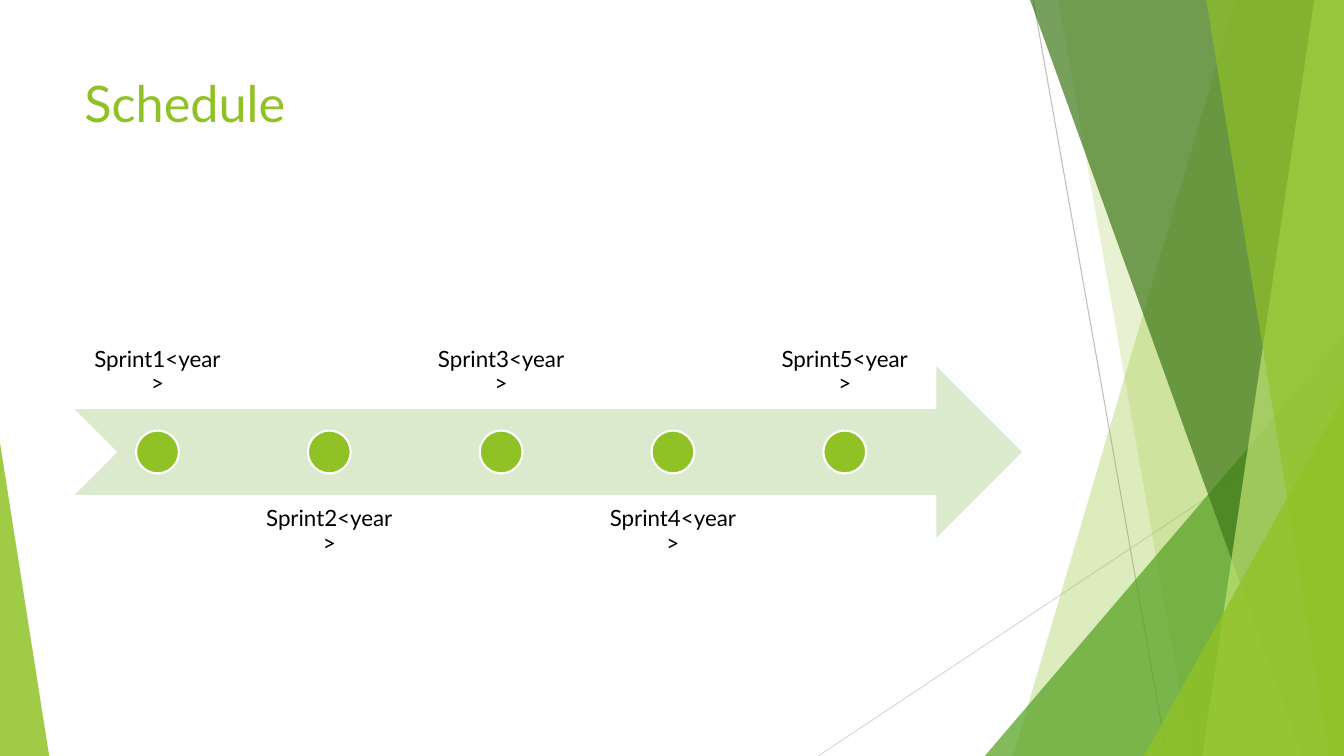
from dataclasses import dataclass

from lxml.etree import SubElement
from pptx import Presentation
from pptx.dml.color import RGBColor
from pptx.enum.shapes import MSO_CONNECTOR as Connector, MSO_SHAPE as Shape
from pptx.enum.text import MSO_ANCHOR as Anchor, PP_ALIGN as Align
from pptx.oxml.ns import qn
from pptx.util import Cm, Pt

COLORS = {
    "white": "FFFFFF", "black": "000000", "lime": "90C226", "pale": "C0E474",
    "green": "54A021", "forest": "3F7819", "mist": "DBE9CD",
    "silver": "D9D9D9", "gray": "BFBFBF",
}
FONT = "Lato"
RIGHT, BOTTOM = 33.87, 19.05

# Timeline geometry in centimetres
ARROW_LEFT, ARROW_WIDTH, ARROW_HEIGHT = 1.88, 23.88, 4.32
MIDDLE = 11.39
FIRST_CENTER, STEP = 3.97, 4.33
DOT = ARROW_HEIGHT / 4
LABEL_WIDTH = 4.14
SPRINTS = 5


@dataclass(frozen=True)
class Ray:
    """A thin decorative line."""
    start: tuple[float, float]
    end: tuple[float, float]
    color: str


@dataclass(frozen=True)
class Panel:
    """A translucent decorative polygon."""
    points: tuple[tuple[float, float], ...]
    color: str
    opacity: int


def edge_panel(top: float, bottom: float, color: str, opacity: int) -> Panel:
    """Describe a full-height panel reaching the right edge of the slide."""
    corners = ((top, 0), (bottom, BOTTOM), (RIGHT, BOTTOM), (RIGHT, 0))
    return Panel(corners, color, opacity)


def corner_panel(left: float, top: float, color: str, opacity: int) -> Panel:
    """Describe a triangle in the lower right corner."""
    corners = ((left, BOTTOM), (RIGHT, top), (RIGHT, BOTTOM))
    return Panel(corners, color, opacity)


RAYS = (
    Ray((20.62, BOTTOM), (RIGHT, 10.24), "silver"),
    Ray((26.04, 0), (29.41, BOTTOM), "gray"),
)
PANELS = (
    edge_panel(31.14, 25.53, "lime", 30),
    edge_panel(26.67, 30.02, "lime", 20),
    corner_panel(24.82, 8.46, "green", 72),
    edge_panel(25.96, 32.82, "forest", 70),
    edge_panel(33.12, 30.3, "pale", 70),
    edge_panel(30.4, 33.5, "lime", 65),
    corner_panel(28.83, 9.98, "lime", 80),
    Panel(((0, 11.15), (1.24, BOTTOM), (0, BOTTOM)), "lime", 85),
)


def rgb(name: str) -> RGBColor:
    """Look up a named colour."""
    return RGBColor.from_string(COLORS[name])


def paint(shape, color: str, opacity: int = 100, outline: str | None = None) -> None:
    """Give a shape a flat fill, an optional outline and no shadow."""
    shape.shadow.inherit = False
    shape.fill.solid()
    shape.fill.fore_color.rgb = rgb(color)
    if opacity < 100:
        fill_color = shape.fill._xPr.find(".//" + qn("a:srgbClr"))
        SubElement(fill_color, qn("a:alpha"), val=str(opacity * 1000))
    if outline:
        shape.line.color.rgb = rgb(outline)
        shape.line.width = Pt(1.5)
    else:
        shape.line.fill.background()


def draw_ray(shapes, ray: Ray) -> None:
    """Draw a thin line without a shadow."""
    line = shapes.add_connector(Connector.STRAIGHT, *map(Cm, ray.start + ray.end))
    line.line.color.rgb = rgb(ray.color)
    line.line.width = Pt(0.75)
    SubElement(line._element.spPr, qn("a:effectLst"))


def draw_panel(shapes, panel: Panel) -> None:
    """Draw a translucent polygon."""
    first, *others = [(Cm(x), Cm(y)) for x, y in panel.points]
    outline = shapes.build_freeform(*first)
    outline.add_line_segments(others, close=True)
    paint(outline.convert_to_shape(), panel.color, panel.opacity)


def draw_shape(shapes, kind: Shape, bounds: tuple[float, ...], color: str,
               outline: str | None = None) -> None:
    """Draw a filled preset shape."""
    paint(shapes.add_shape(kind, *map(Cm, bounds)), color, outline=outline)


def add_text(shapes, text: str, bounds: tuple[float, ...], *, size: int, color: str,
             align: Align = Align.LEFT, anchor: Anchor = Anchor.TOP,
             margins: tuple[float, float] = (0.25, 0.13), spacing: float = 1.0) -> None:
    """Add a wrapped text box; margins are horizontal and vertical."""
    frame = shapes.add_textbox(*map(Cm, bounds)).text_frame
    frame.word_wrap = True
    frame.vertical_anchor = anchor
    frame.margin_left = frame.margin_right = Cm(margins[0])
    frame.margin_top = frame.margin_bottom = Cm(margins[1])
    para = frame.paragraphs[0]
    para.alignment = align
    para.line_spacing = spacing
    span = para.add_run()
    span.text = text
    span.font.name = FONT
    span.font.size = Pt(size)
    span.font.color.rgb = rgb(color)


def draw_sprint(shapes, index: int) -> None:
    """Draw one milestone, its label alternating above and below the arrow."""
    center = FIRST_CENTER + index * STEP
    above = index % 2 == 0
    top = MIDDLE - DOT - ARROW_HEIGHT if above else MIDDLE + DOT
    add_text(shapes, f"Sprint{index + 1}<year>",
             (center - LABEL_WIDTH / 2, top, LABEL_WIDTH, ARROW_HEIGHT),
             size=16, color="black", align=Align.CENTER,
             anchor=Anchor.BOTTOM if above else Anchor.TOP,
             margins=(0.33, 0.32), spacing=0.9)
    draw_shape(shapes, Shape.OVAL, (center - DOT / 2, MIDDLE - DOT / 2, DOT, DOT),
               "lime", outline="white")


def main() -> None:
    """Build and save the schedule slide."""
    deck = Presentation()
    deck.slide_width, deck.slide_height = Cm(RIGHT), Cm(BOTTOM)
    page = deck.slides.add_slide(deck.slide_layouts[6])
    page.background.fill.solid()
    page.background.fill.fore_color.rgb = rgb("white")
    for ray in RAYS:
        draw_ray(page.shapes, ray)
    for panel in PANELS:
        draw_panel(page.shapes, panel)
    add_text(page.shapes, "Schedule", (1.88, 1.7, 23.88, 3.66), size=36, color="lime")
    timeline = page.shapes.add_group_shape().shapes
    draw_shape(timeline, Shape.NOTCHED_RIGHT_ARROW,
               (ARROW_LEFT, MIDDLE - ARROW_HEIGHT / 2, ARROW_WIDTH, ARROW_HEIGHT), "mist")
    for index in range(SPRINTS):
        draw_sprint(timeline, index)
    deck.save("out.pptx")


main()
